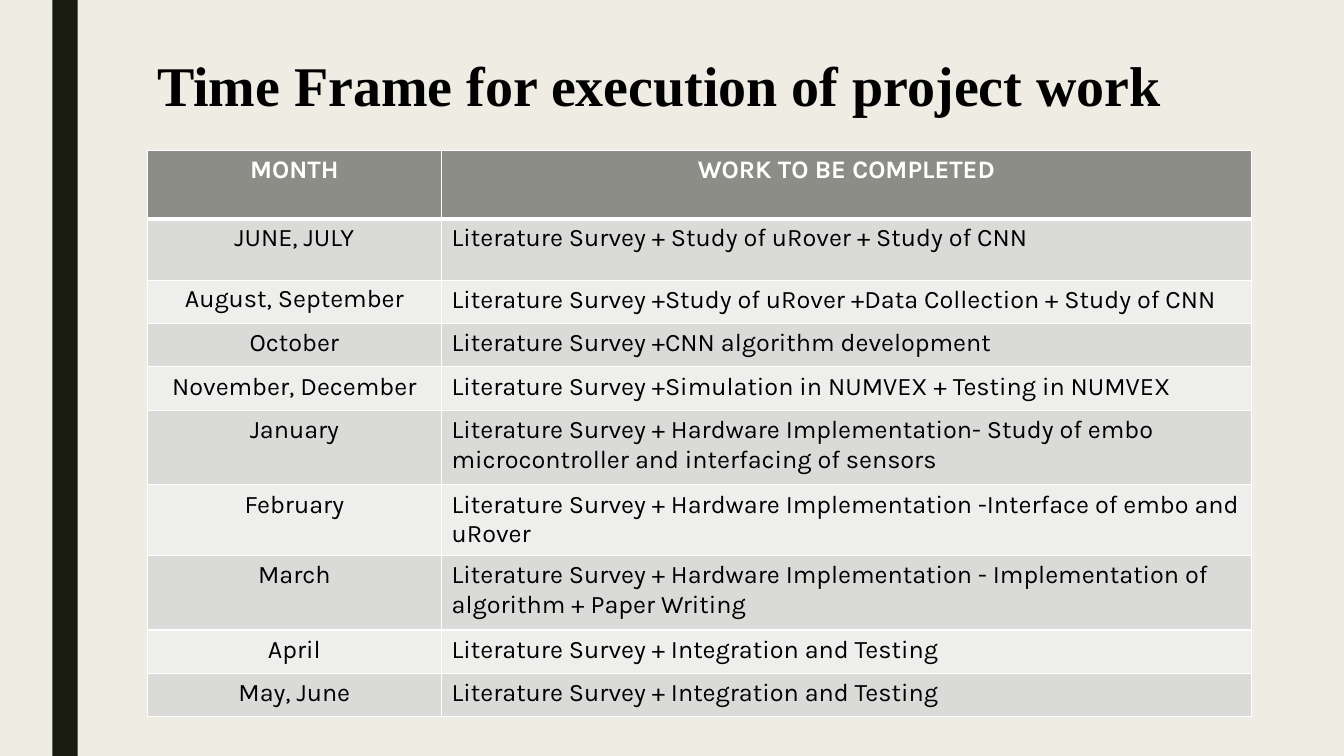
from pptx import Presentation, util as u
from pptx.dml.color import RGBColor
from pptx.enum import shapes, text
from pptx.oxml import parse_xml
from pptx.oxml.ns import nsdecls

WIDE, HIGH = 13.33, 7.5
LEFT = 1.46
COLS = [2.92, 8.03]
ROWS = [0.68, 0.61, 0.43, 0.43, 0.43, 0.74, 0.68, 0.74, 0.43, 0.43]
BANDS = ["EEEEED", "DADBD9"]
HEAD = "8C8D86"
BASE = "Literature Survey +"
HARD = BASE + " Hardware Implementation"
PLAN = [
    ("MONTH", "WORK TO BE COMPLETED"),
    ("JUNE, JULY", BASE + " Study of uRover + Study of CNN"),
    ("August, September", BASE + "Study of uRover +Data Collection + Study of CNN"),
    ("October", BASE + "CNN algorithm development"),
    ("November, December", BASE + "Simulation in NUMVEX + Testing in NUMVEX"),
    ("January", HARD + "- Study of embo microcontroller and interfacing of sensors"),
    ("February", HARD + " -Interface of embo and uRover"),
    ("March", HARD + " - Implementation of algorithm + Paper Writing"),
    ("April", BASE + " Integration and Testing"),
    ("May, June", BASE + " Integration and Testing"),
]


def color(code):
    """Turn a hex string into a colour."""
    return RGBColor.from_string(code)


def paint(fill, code):
    """Give a fill one solid colour."""
    fill.solid()
    fill.fore_color.rgb = color(code)


def write(frame, words, face, size, code, bold=False):
    """Put words in a frame and style them; return the paragraph."""
    frame.text = words
    para = frame.paragraphs[0]
    font = para.runs[0].font
    font.name, font.size, font.bold = face, u.Pt(size), bold
    font.color.rgb = color(code)
    return para


def edge(cell, base):
    """Draw white lines round a cell, with a given weight at its base."""
    for side, wide in zip("LRTB", (1, 1, 1, base)):
        cell._tc.get_or_add_tcPr().append(parse_xml(
            f'<a:ln{side} {nsdecls("a")} w="{u.Pt(wide)}"><a:solidFill>'
            f'<a:srgbClr val="FFFFFF"/></a:solidFill></a:ln{side}>'))


def stripe(slide):
    """Draw the dark upright bar."""
    bar = slide.shapes.add_shape(
        shapes.MSO_SHAPE.RECTANGLE, u.Inches(0.52), 0, u.Inches(0.25), u.Inches(HIGH))
    bar.shadow.inherit = False
    paint(bar.fill, "191B0E")
    bar.line.fill.background()


def title(slide, words):
    """Write the slide title."""
    box = slide.shapes.add_textbox(*map(u.Inches, (LEFT, 0.39, 11.38, 0.98)))
    frame = box.text_frame
    frame.word_wrap = True
    frame.vertical_anchor = text.MSO_ANCHOR.MIDDLE
    write(frame, words, "Times New Roman", 40, "000000", True).line_spacing = 0.9


def grid(slide):
    """Build the table of months and work."""
    area = map(u.Inches, (LEFT, 1.49, sum(COLS), sum(ROWS)))
    table = slide.shapes.add_table(len(ROWS), len(COLS), *area).table
    for col, wide in zip(table.columns, COLS):
        col.width = u.Inches(wide)
    for r, (line, high) in enumerate(zip(PLAN, ROWS)):
        table.rows[r].height = u.Inches(high)
        top = r == 0
        for c, words in enumerate(line):
            cell = table.cell(r, c)
            edge(cell, 3 if top else 1)
            paint(cell.fill, HEAD if top else BANDS[r % 2])
            para = write(cell.text_frame, words, "Karla", 18,
                         "FFFFFF" if top else "000000", top)
            if top or c == 0:
                para.alignment = text.PP_ALIGN.CENTER
    month = table.cell(2, 0)
    month.margin_left = month.margin_right = u.Inches(0.07)
    month.margin_top = month.margin_bottom = 0
    para = month.text_frame.paragraphs[0]
    para.line_spacing, para.space_after = 1.15, u.Pt(10)


def main():
    """Make the slide and save it."""
    deck = Presentation()
    deck.slide_width, deck.slide_height = u.Inches(WIDE), u.Inches(HIGH)
    slide = deck.slides.add_slide(deck.slide_layouts[6])
    paint(slide.background.fill, "EFEDE3")
    stripe(slide)
    title(slide, "Time Frame for execution of project work")
    grid(slide)
    deck.save("out.pptx")


if __name__ == "__main__":
    main()
